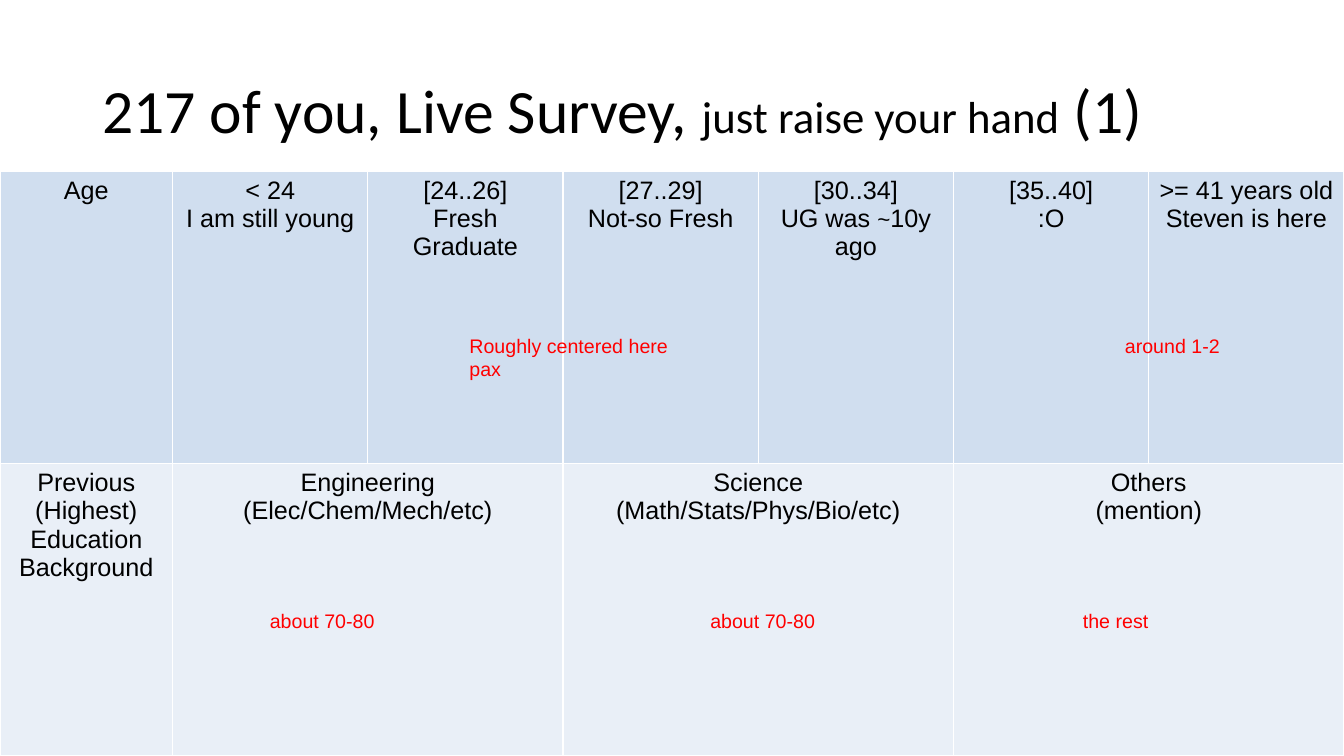
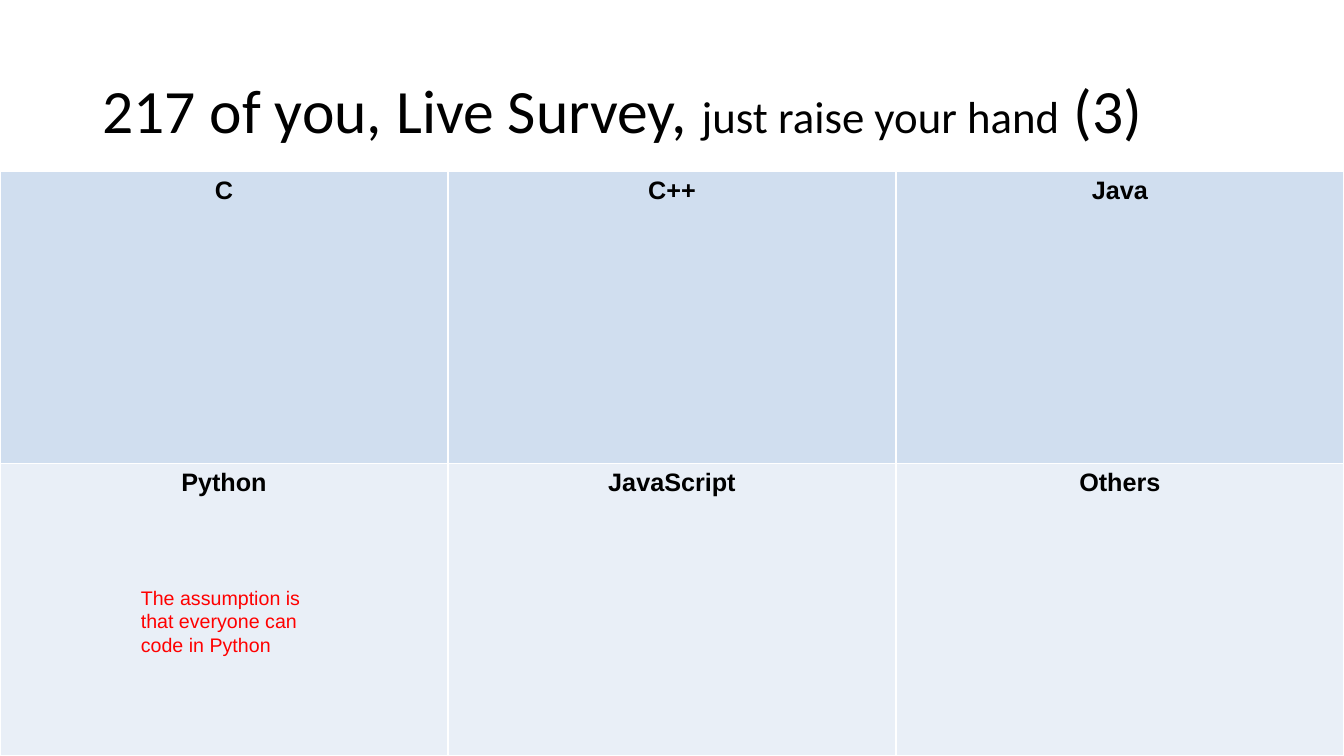
from pptx import Presentation
from pptx.dml.color import RGBColor
from pptx.enum.text import MSO_ANCHOR as ANCHOR, PP_ALIGN as ALIGN
from pptx.oxml import parse_xml
from pptx.oxml.ns import nsdecls
from pptx.util import Cm, Pt

COLORS = {"text": "000000", "note": "FF0000", "border": "FFFFFF"}
ROW_FILLS = ["D0DEEF", "E9EFF7"]
WIDTH, HEIGHT, TABLE_TOP = 33.87, 19.05, 4.32
ROW_HEIGHT = (HEIGHT - TABLE_TOP) / 2

surveys = [
    {
        "number": 1,
        "bold": False,
        "columns": [4.35] + [4.92] * 6,
        "rows": [
            ["Age", "< 24\nI am still young", "[24..26]\nFresh Graduate",
             "[27..29]\nNot-so Fresh", "[30..34]\nUG was ~10y ago",
             "[35..40]\n:O", ">= 41 years old\nSteven is here"],
            ["Previous\n(Highest)\nEducation\nBackground",
             "Engineering\n(Elec/Chem/Mech/etc)", None,
             "Science\n(Math/Stats/Phys/Bio/etc)", None,
             "Others\n(mention)", None],
        ],
        "notes": [
            (11.58, 8.28, 5.84, "Roughly centered here pax"),
            (28.1, 8.28, 4, "around 1-2"),
            (6.55, 15.21, 4, "about 70-80"),
            (17.65, 15.21, 4, "about 70-80"),
            (27.04, 15.21, 4, "the rest"),
        ],
    },
    {
        "number": 3,
        "bold": True,
        "columns": [WIDTH / 3] * 3,
        "rows": [["C", "C++", "Java"], ["Python", "JavaScript", "Others"]],
        "notes": [
            (3.3, 14.63, 4.85, "The assumption is that everyone can code in Python"),
        ],
    },
]


def add_runs(p, parts, font="Arial", color="text", bold=False):
    for text, size in parts:
        r = p.add_run()
        r.text = text
        r.font.name = font
        r.font.size = Pt(size)
        r.font.bold = bold
        r.font.color.rgb = RGBColor.from_string(COLORS[color])


def add_textbox(s, left, top, width, height):
    tf = s.shapes.add_textbox(Cm(left), Cm(top), Cm(width), Cm(height)).text_frame
    tf.word_wrap = True
    return tf


prs = Presentation()
prs.slide_width, prs.slide_height = Cm(WIDTH), Cm(HEIGHT)

for survey in surveys:
    s = prs.slides.add_slide(prs.slide_layouts[6])

    tf = add_textbox(s, 2.33, 1.01, 29.21, 3.68)
    tf.vertical_anchor = ANCHOR.MIDDLE
    p = tf.paragraphs[0]
    p.line_spacing = 0.9
    add_runs(p, [("217 of you, Live Survey, ", 44), ("just raise your hand", 32),
                 (f" ({survey['number']})", 44)], font="Calibri")

    rows, columns = survey["rows"], survey["columns"]
    table = s.shapes.add_table(len(rows), len(columns), Cm(0), Cm(TABLE_TOP),
                               Cm(WIDTH), Cm(ROW_HEIGHT * len(rows))).table
    table.first_row = table.horz_banding = False
    for column, width in zip(table.columns, columns):
        column.width = Cm(width)

    for i, (texts, fill) in enumerate(zip(rows, ROW_FILLS)):
        table.rows[i].height = Cm(ROW_HEIGHT)
        for j, text in enumerate(texts):
            cell = table.cell(i, j)
            if text is None:
                table.cell(i, j - 1).merge(cell)
                continue
            tcPr = cell._tc.get_or_add_tcPr()
            for side in "LRTB":
                tcPr.append(parse_xml(
                    f'<a:ln{side} {nsdecls("a")} w="{Pt(1)}"><a:solidFill>'
                    f'<a:srgbClr val="{COLORS["border"]}"/></a:solidFill></a:ln{side}>'))
            cell.fill.solid()
            cell.fill.fore_color.rgb = RGBColor.from_string(fill)
            tf = cell.text_frame
            for k, line in enumerate(text.split("\n")):
                p = tf.add_paragraph() if k else tf.paragraphs[0]
                p.alignment = ALIGN.CENTER
                parts = [(part, 16 if part == "~" else 18)
                         for part in line.partition("~") if part]
                add_runs(p, parts, bold=survey["bold"])

    for left, top, width, text in survey["notes"]:
        tf = add_textbox(s, left, top, width, 0.86)
        add_runs(tf.paragraphs[0], [(text, 14)], color="note")

prs.save("out.pptx")
